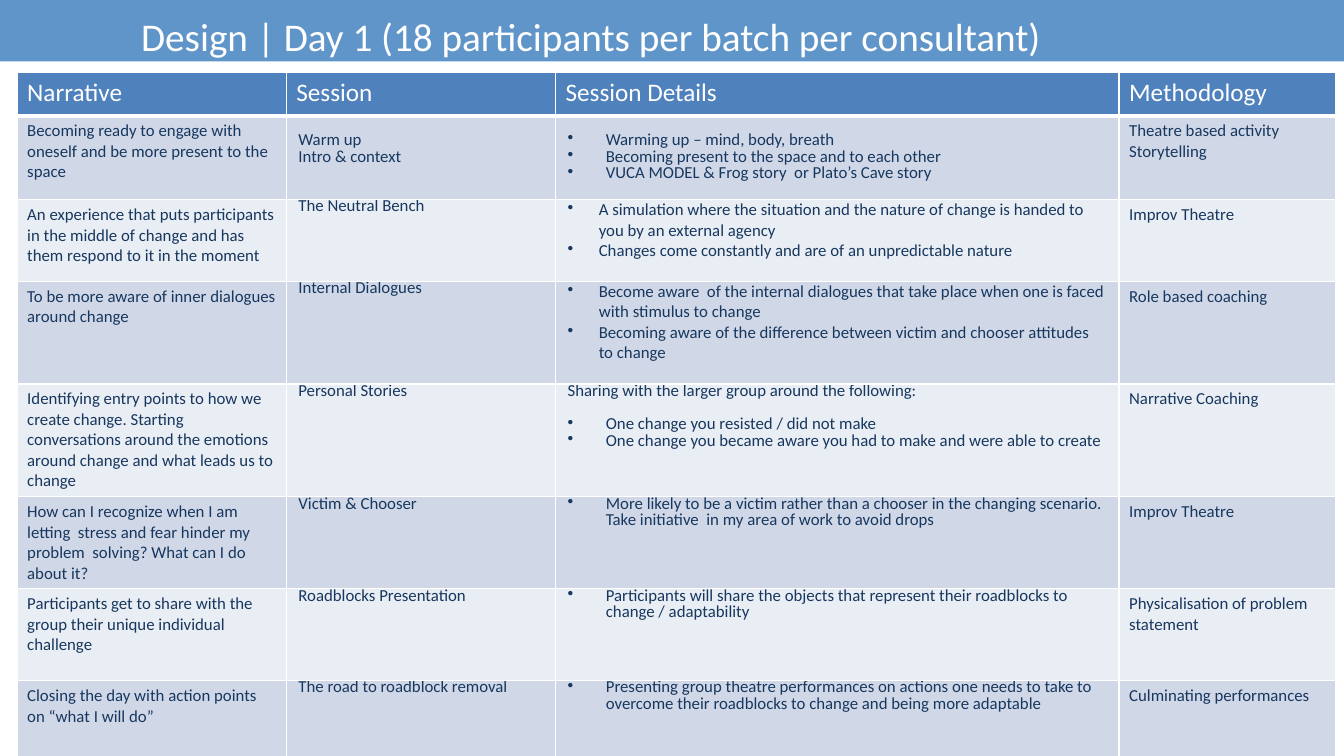
import pptx
import pptx.dml.color
import pptx.enum.shapes
import pptx.enum.text
import pptx.oxml
import pptx.oxml.ns
import pptx.util
from pptx.util import Inches

FONT = "Calibri"
COLORS = {
    "white": "FFFFFF",
    "banner": "6095C9",
    "header": "4F81BD",
    "band_dark": "D0D8E8",
    "band_light": "E9EDF4",
    "text": "17375E",
}
COLUMN_WIDTHS = [2.67, 2.67, 5.59, 2.15]
ROW_HEIGHTS = [0.43, 0.83, 0.81, 1.02, 1.12, 0.91, 0.91, 0.83]
HEADERS = ["Narrative", "Session", "Session Details", "Methodology"]
WARM_UP_TOP = 0.17
LOOSE_ROWS = (2, 3)
SESSIONS = [
    (
        "Becoming ready to engage with oneself and be more present to the space",
        ["Warm up", "Intro & context"],
        "",
        [
            "Warming up – mind, body, breath",
            "Becoming present to the space and to each other",
            "VUCA MODEL & Frog story  or Plato’s Cave story",
        ],
        ["Theatre based activity", "Storytelling"],
    ),
    (
        "An experience that puts participants in the middle of change and has them respond to it in the moment",
        ["The Neutral Bench"],
        "",
        [
            "A simulation where the situation and the nature of change is handed to you by an external agency",
            "Changes come constantly and are of an unpredictable nature",
        ],
        ["Improv Theatre"],
    ),
    (
        "To be more aware of inner dialogues around change",
        ["Internal Dialogues"],
        "",
        [
            "Become aware  of the internal dialogues that take place when one is faced with stimulus to change",
            "Becoming aware of the difference between victim and chooser attitudes to change",
        ],
        ["Role based coaching"],
    ),
    (
        "Identifying entry points to how we create change. Starting conversations around the emotions "
        "around change and what leads us to change",
        ["Personal Stories"],
        "Sharing with the larger group around the following:",
        [
            "One change you resisted / did not make",
            "One change you became aware you had to make and were able to create",
        ],
        ["Narrative Coaching"],
    ),
    (
        "How can I recognize when I am letting  stress and fear hinder my problem  solving? "
        "What can I do about it?",
        ["Victim & Chooser"],
        "",
        [
            "More likely to be a victim rather than a chooser in the changing scenario. "
            "Take initiative  in my area of work to avoid drops",
        ],
        ["Improv Theatre"],
    ),
    (
        "Participants get to share with the group their unique individual challenge",
        ["Roadblocks Presentation"],
        "",
        ["Participants will share the objects that represent their roadblocks to change / adaptability"],
        ["Physicalisation of problem statement"],
    ),
    (
        "Closing the day with action points on “what I will do”",
        ["The road to roadblock removal"],
        "",
        [
            "Presenting group theatre performances on actions one needs to take to "
            "overcome their roadblocks to change and being more adaptable",
        ],
        ["Culminating performances"],
    ),
]


def rgb(name):
    return pptx.dml.color.RGBColor.from_string(COLORS[name])


def add_text(paragraph, text, size, color):
    run = paragraph.add_run()
    run.text = text
    run.font.name = FONT
    run.font.size = pptx.util.Pt(size)
    run.font.bold = False
    run.font.color.rgb = rgb(color)


def add_bullet(paragraph, indent):
    properties = paragraph._p.get_or_add_pPr()
    properties.set("marL", str(Inches(indent)))
    properties.set("indent", str(-Inches(indent)))
    bullet = pptx.oxml.parse_xml(f'<a:buChar {pptx.oxml.ns.nsdecls("a")} char="•"/>')
    properties.append(bullet)


def style_cell(cell, fill, bottom_width=1):
    properties = cell._tc.get_or_add_tcPr()
    for side, width in (("L", 1), ("R", 1), ("T", 1), ("B", bottom_width)):
        border = pptx.oxml.parse_xml(
            f'<a:ln{side} {pptx.oxml.ns.nsdecls("a")} w="{pptx.util.Pt(width)}">'
            f'<a:solidFill><a:srgbClr val="{COLORS["white"]}"/></a:solidFill></a:ln{side}>'
        )
        properties.append(border)
    cell.fill.solid()
    cell.fill.fore_color.rgb = rgb(fill)


def set_tight_margins(cell, top):
    cell.margin_left = cell.margin_right = Inches(0.12)
    cell.margin_top = Inches(top)
    cell.margin_bottom = 0


def fill_cell(cell, lines, size=12, color="text", exact=False, bullet_indent=0, intro=""):
    texts = [intro] + lines if intro else lines
    for index, text in enumerate(texts):
        paragraph = cell.text_frame.paragraphs[0] if index == 0 else cell.text_frame.add_paragraph()
        if bullet_indent and text != intro:
            add_bullet(paragraph, bullet_indent)
        if exact:
            paragraph.line_spacing = pptx.util.Pt(12)
        if intro and index == 1:
            paragraph.space_before = pptx.util.Pt(12)
        add_text(paragraph, text, size, color)


def add_session_row(table, row, session):
    narrative, names, intro, details, methods = session
    loose = row in LOOSE_ROWS
    cells = [table.cell(row, column) for column in range(len(HEADERS))]
    for cell in cells:
        style_cell(cell, "band_dark" if row % 2 else "band_light")
    for cell in cells[1:3]:
        set_tight_margins(cell, WARM_UP_TOP if row == 1 else 0)
    fill_cell(cells[0], [narrative])
    fill_cell(cells[1], names, exact=True)
    fill_cell(cells[2], details, exact=not loose, bullet_indent=0.31 if loose else 0.38, intro=intro)
    fill_cell(cells[3], methods)


def add_agenda(slide):
    frame = slide.shapes.add_table(
        len(ROW_HEIGHTS), len(COLUMN_WIDTHS),
        Inches(0.17), Inches(0.72), Inches(sum(COLUMN_WIDTHS)), Inches(sum(ROW_HEIGHTS)),
    )
    table = frame.table
    for column, width in zip(table.columns, COLUMN_WIDTHS):
        column.width = Inches(width)
    for row, height in zip(table.rows, ROW_HEIGHTS):
        row.height = Inches(height)
    for column, header in enumerate(HEADERS):
        cell = table.cell(0, column)
        style_cell(cell, "header", bottom_width=3)
        fill_cell(cell, [header], size=18, color="white")
    for row, session in enumerate(SESSIONS, start=1):
        add_session_row(table, row, session)


def add_banner(slide, width):
    banner = slide.shapes.add_shape(
        pptx.enum.shapes.MSO_SHAPE.RECTANGLE, 0, 0, width, Inches(0.61)
    )
    banner.shadow.inherit = False
    banner.fill.solid()
    banner.fill.fore_color.rgb = rgb("banner")
    banner.line.fill.background()


def add_title(slide, text):
    title = slide.shapes.add_textbox(Inches(1.38), Inches(0.1), Inches(10.58), Inches(0.49))
    frame = title.text_frame
    frame.word_wrap = True
    frame.margin_left = Inches(0.02)
    frame.margin_top = Inches(0.02)
    frame.margin_right = frame.margin_bottom = 0
    add_text(frame.paragraphs[0], text, 28, "white")


def main():
    presentation = pptx.Presentation()
    presentation.slide_width = Inches(13.33)
    presentation.slide_height = Inches(7.5)
    slide = presentation.slides.add_slide(presentation.slide_layouts[6])
    add_agenda(slide)
    add_banner(slide, presentation.slide_width)
    add_title(slide, "Design | Day 1 (18 participants per batch per consultant)")
    presentation.save("out.pptx")


if __name__ == "__main__":
    main()
